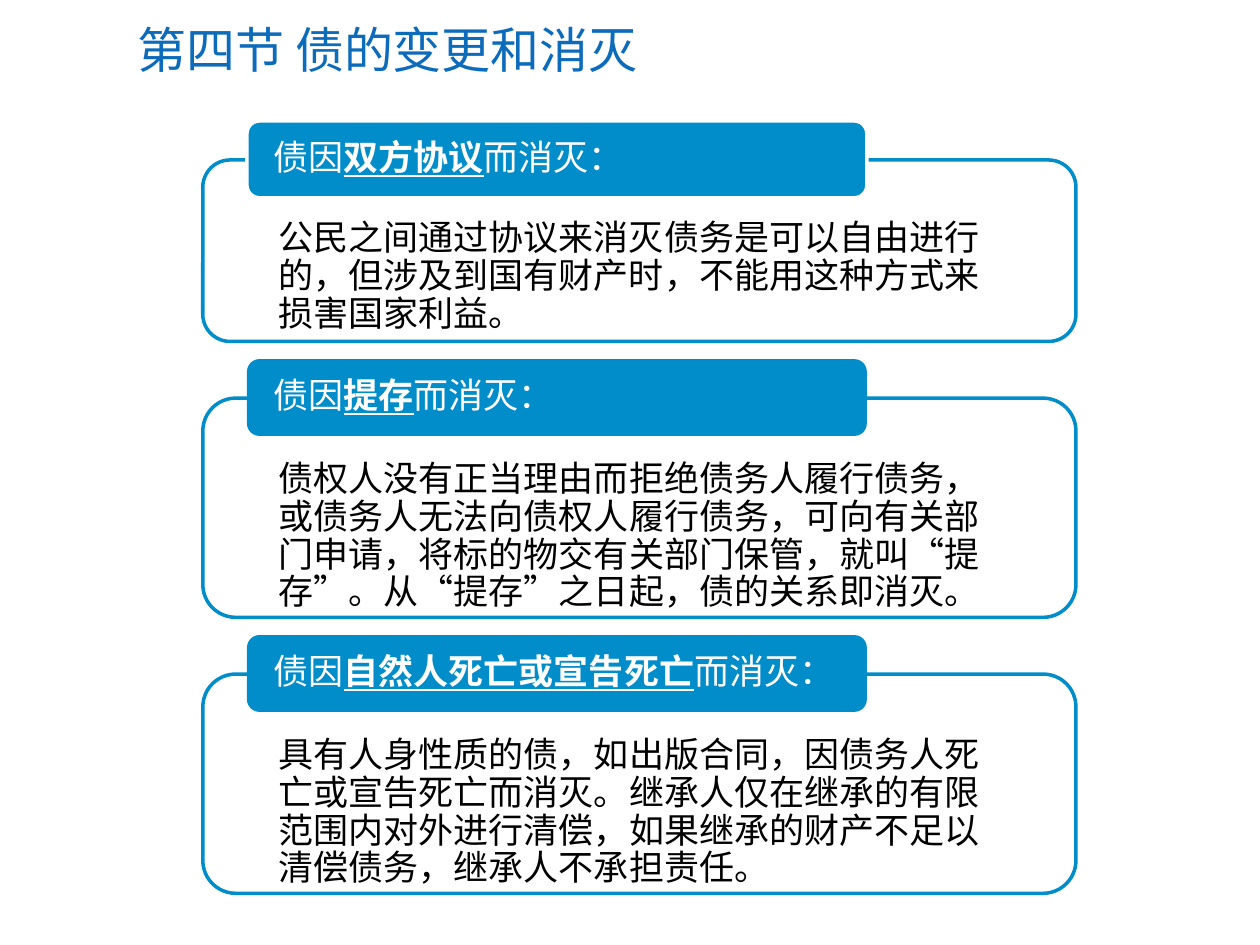
from lxml.etree import SubElement
from pptx import Presentation
from pptx.dml.color import RGBColor
from pptx.enum.lang import MSO_LANGUAGE_ID as Language
from pptx.enum.shapes import MSO_SHAPE as Shape
from pptx.enum.text import MSO_ANCHOR as Anchor, PP_ALIGN as Align
from pptx.oxml.ns import qn
from pptx.util import Inches, Pt

COLORS = {"title": "0C6BBA", "blue": "008DCA", "white": "FFFFFF", "black": "000000"}
TITLE = "第四节 债的变更和消灭"
SECTIONS = [
    {"top": 1.27, "height": 1.44, "inset": 0.48, "outline": "white", "cause": "双方协议",
     "body": "公民之间通过协议来消灭债务是可以自由进行的，但涉及到国有财产时，不能用这种方式来损害国家利益。"},
    {"top": 3.16, "height": 1.74, "inset": 0.5, "outline": None, "cause": "提存",
     "body": "债权人没有正当理由而拒绝债务人履行债务，或债务人无法向债权人履行债务，可向有关部门申请，"
             "将标的物交有关部门保管，就叫“提存”。从“提存”之日起，债的关系即消灭。"},
    {"top": 5.35, "height": 1.74, "inset": 0.5, "outline": None, "cause": "自然人死亡或宣告死亡",
     "body": "具有人身性质的债，如出版合同，因债务人死亡或宣告死亡而消灭。继承人仅在继承的有限范围内对外进行清偿，"
             "如果继承的财产不足以清偿债务，继承人不承担责任。"},
]
PANEL_LEFT, PANEL_WIDTH = 1.61, 6.93
TAB_LEFT, TAB_WIDTH, TAB_HEIGHT = 1.96, 4.92, 0.61
TAB_RISE = 0.31
CORNER = 0.29


def color(name):
    return RGBColor.from_string(COLORS[name])


def assign(target, values):
    for name, value in values.items():
        setattr(target, name, value)


def write(paragraph, runs, size, color_name):
    for text, strong in runs:
        run = paragraph.add_run()
        run.text = text
        assign(run.font, {"name": "Calibri", "size": Pt(size), "bold": strong,
                          "underline": strong, "language_id": Language.SIMPLIFIED_CHINESE})
        run.font.color.rgb = color(color_name)


def add_box(box, radius, fill, outline, insets, anchor, runs, text_color, space_after):
    shape = slide.shapes.add_shape(Shape.ROUNDED_RECTANGLE, *map(Inches, box))
    shape.shadow.inherit = False
    shape.adjustments[0] = radius / box[3]
    shape.fill.solid()
    shape.fill.fore_color.rgb = color(fill)
    if outline:
        shape.line.color.rgb = color(outline)
        shape.line.width = Pt(2)
    else:
        shape.line.fill.background()
    left, top, bottom = (Inches(max(0, inset - CORNER * radius)) for inset in insets)
    frame = shape.text_frame
    assign(frame, {"margin_left": left, "margin_right": left, "margin_top": top,
                   "margin_bottom": bottom, "word_wrap": True, "vertical_anchor": anchor})
    paragraph = frame.paragraphs[0]
    assign(paragraph, {"alignment": Align.LEFT, "line_spacing": 0.9,
                       "space_after": Pt(space_after)})
    write(paragraph, runs, 20, text_color)
    return shape


presentation = Presentation()
assign(presentation, {"slide_width": Inches(10), "slide_height": Inches(7.5)})
slide = presentation.slides.add_slide(presentation.slide_layouts[5])

title = slide.shapes.title
assign(title, {"left": Inches(0.99), "top": Inches(0.1),
               "width": Inches(8.72), "height": Inches(0.58)})
title.text_frame.vertical_anchor = Anchor.MIDDLE
heading = title.text_frame.paragraphs[0]
heading.alignment = Align.LEFT
write(heading, [(TITLE, False)], 28, "title")

for section in SECTIONS:
    top, height, inset = section["top"], section["height"], section["inset"]
    panel = add_box((PANEL_LEFT, top, PANEL_WIDTH, height), height * 0.15, "white", "blue",
                    (0.6, inset, 0.2), Anchor.TOP, [(section["body"], False)], "black", 3.7)
    panel_color = panel.fill._xPr.find(qn("a:solidFill"))[0]
    SubElement(panel_color, qn("a:alpha"), val="90000")
    add_box((TAB_LEFT, top - TAB_RISE, TAB_WIDTH, TAB_HEIGHT), 0.1, "blue", section["outline"],
            (0.21, 0.03, 0.03), Anchor.MIDDLE,
            [("债因", False), (section["cause"], True), ("而消灭：", False)], "white", 8.8)

presentation.save("out.pptx")
